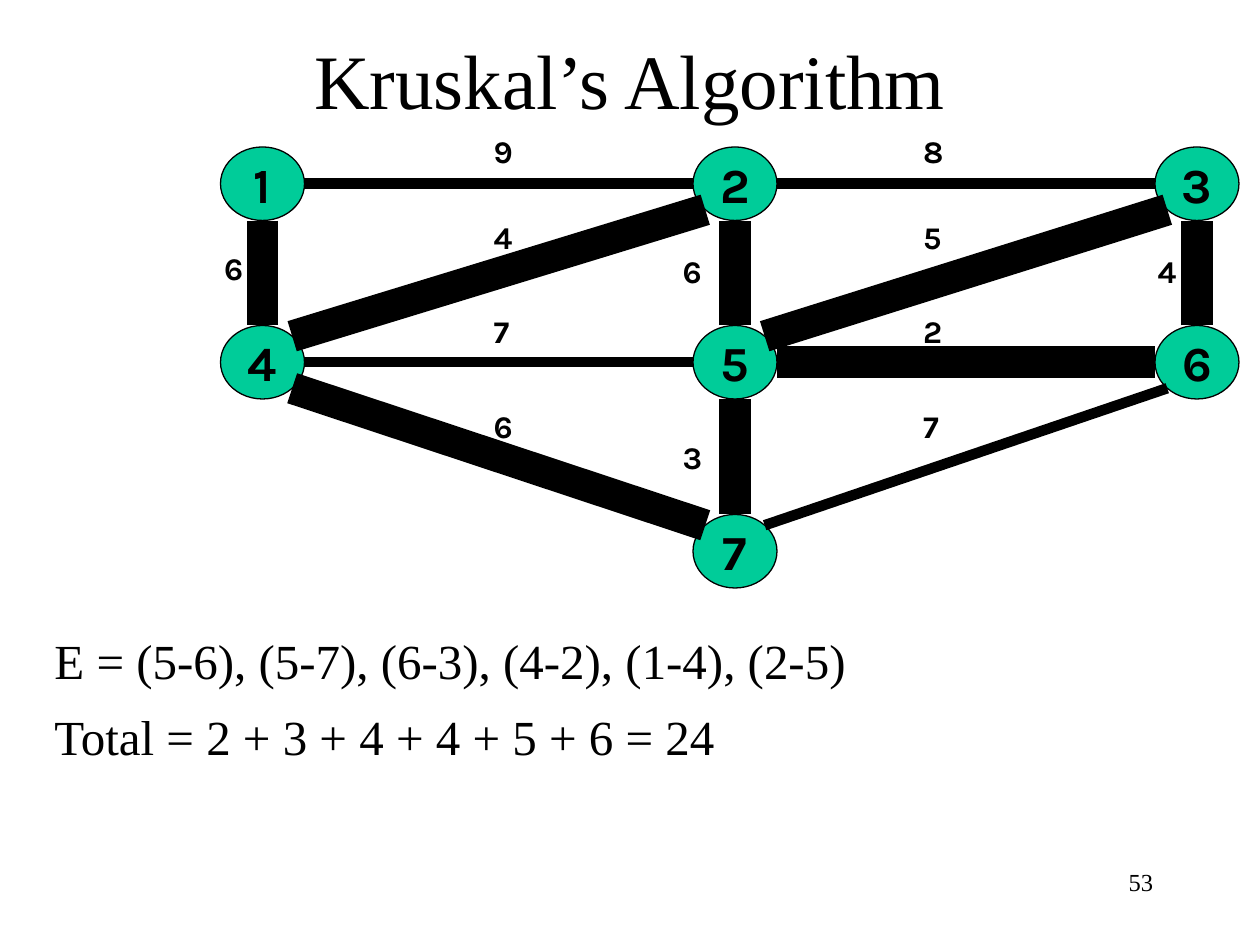
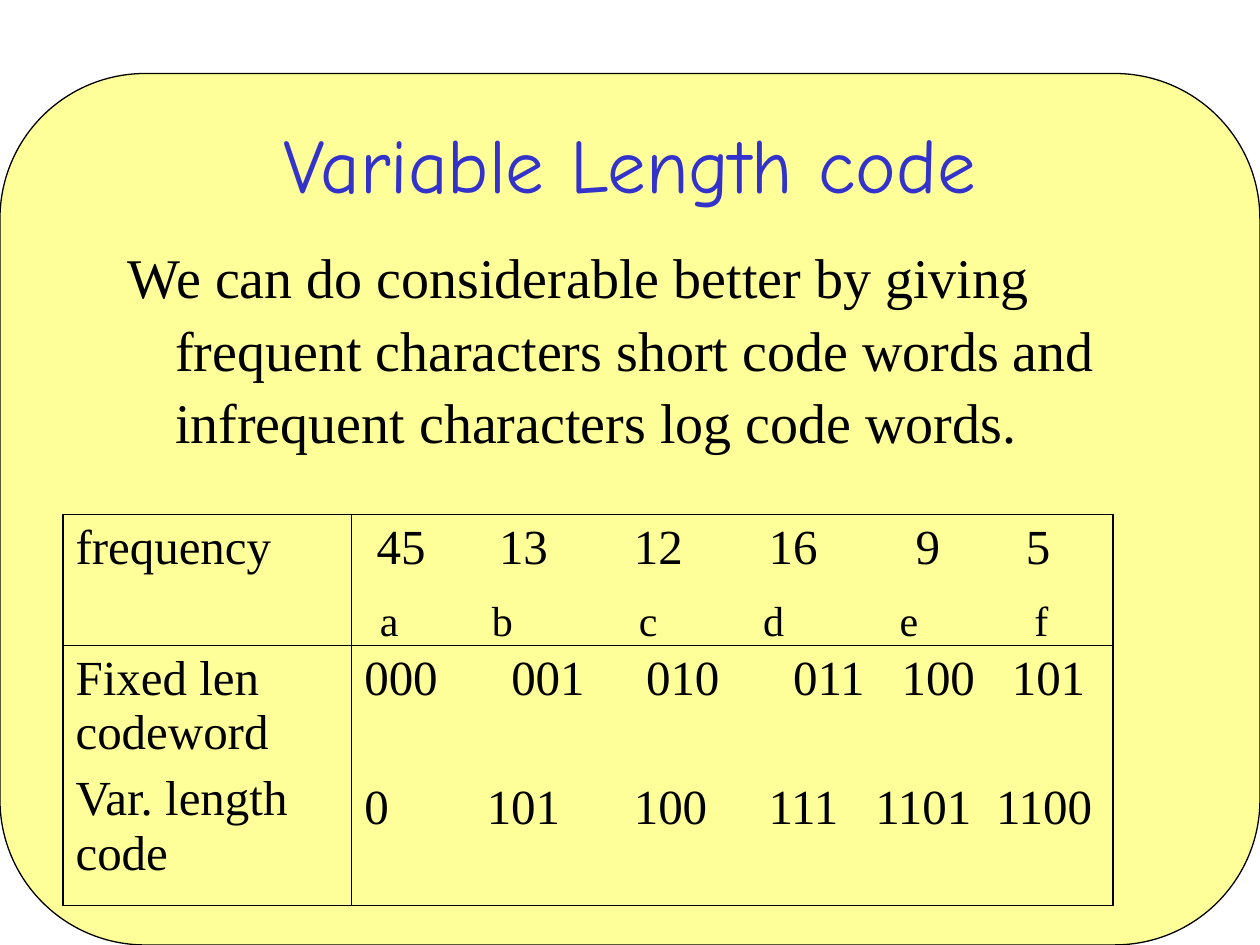
from math import copysign, sqrt

from lxml.etree import SubElement
from pptx import Presentation
from pptx.dml.color import RGBColor
from pptx.enum.shapes import MSO_CONNECTOR, MSO_SHAPE
from pptx.enum.text import MSO_ANCHOR, MSO_AUTO_SIZE, PP_ALIGN
from pptx.oxml.ns import qn
from pptx.util import Pt

BLACK = RGBColor(0x00, 0x00, 0x00)
GREEN = RGBColor(0x00, 0xCC, 0x99)
BLUE = RGBColor(0x33, 0x33, 0xCC)
YELLOW = RGBColor(0xFF, 0xFF, 0x99)
SERIF, SANS, HAND = "Times New Roman", "Karla", "Comic Neue"
NODE_WIDTH, NODE_HEIGHT = 48, 42
THIN, THICK = 6, 18
OUTER, INNER = 1.08, 0.45


class Deck:
    def __init__(self):
        self.presentation = Presentation()
        self.presentation.slide_width = Pt(720)
        self.presentation.slide_height = Pt(540)
        self.slide = None

    def new_slide(self):
        self.slide = self.presentation.slides.add_slide(self.presentation.slide_layouts[6])

    def styled_run(self, paragraph, text, size, font=SERIF, color=BLACK, bold=False,
                   align=PP_ALIGN.LEFT, tabs=()):
        paragraph.alignment = align
        if tabs:
            tab_list = SubElement(paragraph._p.get_or_add_pPr(), qn("a:tabLst"))
            for position in tabs:
                SubElement(tab_list, qn("a:tab"), pos=str(Pt(position)), algn="l")
        run = paragraph.add_run()
        run.text = text
        run.font.size = Pt(size)
        run.font.name = font
        run.font.bold = bold
        run.font.color.rgb = color

    def text(self, box, content, size, wrap=True, anchor=MSO_ANCHOR.TOP, grow=False, **style):
        frame = self.slide.shapes.add_textbox(*map(Pt, box)).text_frame
        frame.word_wrap = wrap
        frame.vertical_anchor = anchor
        if grow:
            frame.auto_size = MSO_AUTO_SIZE.SHAPE_TO_FIT_TEXT
        self.styled_run(frame.paragraphs[0], content, size, **style)

    def title(self, box, content, **style):
        self.text(box, content, 44, anchor=MSO_ANCHOR.MIDDLE, align=PP_ALIGN.CENTER, **style)

    def body(self, box, lines, size, gap=0):
        frame = self.slide.shapes.add_textbox(*map(Pt, box)).text_frame
        frame.word_wrap = True
        for index, line in enumerate(lines):
            paragraph = frame.add_paragraph() if index else frame.paragraphs[0]
            properties = paragraph._p.get_or_add_pPr()
            properties.set("marL", str(Pt(27)))
            properties.set("indent", str(Pt(-27)))
            paragraph.line_spacing = 1.08
            if index:
                paragraph.space_before = Pt(gap)
            self.styled_run(paragraph, line, size)

    def shape(self, kind, box, fill):
        shape = self.slide.shapes.add_shape(kind, *map(Pt, box))
        shape.shadow.inherit = False
        shape.fill.solid()
        shape.fill.fore_color.rgb = fill
        shape.line.color.rgb = BLACK
        shape.line.width = Pt(0.75)
        return shape

    def node(self, left, top, number):
        frame = self.shape(MSO_SHAPE.OVAL, (left, top, NODE_WIDTH, NODE_HEIGHT), GREEN).text_frame
        frame.word_wrap = False
        frame.vertical_anchor = MSO_ANCHOR.MIDDLE
        self.styled_run(frame.paragraphs[0], number, 28, SANS, bold=True, align=PP_ALIGN.CENTER)

    def edge(self, start, end, width):
        dx, dy = end[0] - start[0], end[1] - start[1]
        reach = 1 / sqrt(2) if dx and dy else 1
        shift_x = copysign(reach * NODE_WIDTH / 2, dx) if dx else 0
        shift_y = copysign(reach * NODE_HEIGHT / 2, dy) if dy else 0
        middle_x, middle_y = NODE_WIDTH / 2, NODE_HEIGHT / 2
        line = self.slide.shapes.add_connector(
            MSO_CONNECTOR.STRAIGHT,
            Pt(start[0] + middle_x + shift_x), Pt(start[1] + middle_y + shift_y),
            Pt(end[0] + middle_x - shift_x), Pt(end[1] + middle_y - shift_y))
        line.line.color.rgb = BLACK
        line.line.width = Pt(width)
        SubElement(line._element.spPr, qn("a:effectLst"))

    def border(self, cell, widths):
        properties = cell._tc.get_or_add_tcPr()
        for index, (side, width) in enumerate(zip("LRTB", widths)):
            line = properties.makeelement(qn(f"a:ln{side}"), {"w": str(Pt(width))})
            fill = SubElement(line, qn("a:solidFill"))
            SubElement(fill, qn("a:srgbClr"), val=str(BLACK))
            properties.insert(index, line)

    def table(self, box, columns, rows, cells):
        table = self.slide.shapes.add_table(len(rows), len(columns), *map(Pt, box)).table
        table.first_row = table.horz_banding = False
        for column, width in zip(table.columns, columns):
            column.width = Pt(width)
        for row, height in zip(table.rows, rows):
            row.height = Pt(height)
        for r, row in enumerate(cells):
            for c, lines in enumerate(row):
                cell = table.cell(r, c)
                cell.fill.background()
                self.border(cell, (INNER if c else OUTER,
                                   OUTER if c == len(columns) - 1 else INNER,
                                   INNER if r else OUTER,
                                   OUTER if r == len(rows) - 1 else INNER))
                for index, (line, gap, tabs) in enumerate(lines):
                    frame = cell.text_frame
                    paragraph = frame.add_paragraph() if index else frame.paragraphs[0]
                    self.styled_run(paragraph, line, 28, tabs=tabs)
                    if index:
                        paragraph.space_before = Pt(gap)


def kruskal(deck):
    deck.new_slide()
    deck.text((516, 492, 150, 36), "53", 14, align=PP_ALIGN.RIGHT)
    deck.title((24, 0, 672, 90), "Kruskal’s Algorithm")
    deck.body((24, 354, 672, 162), ["E = (5-6), (5-7), (6-3), (4-2), (1-4), (2-5)",
                                    "Total = 2 + 3 + 4 + 4 + 5 + 6 = 24"], 28, gap=7)

    left, center, right = 126, 396, 660
    upper, middle, lower = 84, 186, 294
    nodes = {1: (left, upper), 2: (center, upper), 3: (right, upper),
             4: (left, middle), 5: (center, middle), 6: (right, middle),
             7: (center, lower)}
    other_edges = [(1, 2), (2, 3), (4, 5), (7, 6)]
    tree_edges = [(5, 6), (5, 7), (6, 3), (4, 2), (5, 3), (5, 2), (1, 4), (4, 7)]
    weights = [(column, top, weight)
               for column, values in ((275, "9476"), (520.5, "8527"))
               for top, weight in zip((72, 121, 175, 229), values)]
    weights += [(121, 139, "6"), (383, 140.4, "6"), (654.5, 140.4, "4"), (383, 247, "3")]

    for number, position in nodes.items():
        deck.node(*position, str(number))
    for start, end in other_edges:
        deck.edge(nodes[start], nodes[end], THIN)
    for x, y, weight in weights:
        deck.text((x, y, 24.5, 28.8), weight, 18, wrap=False, grow=True, font=SANS, bold=True)
    for start, end in tree_edges:
        deck.edge(nodes[start], nodes[end], THICK)


def variable_length_code(deck):
    deck.new_slide()
    deck.shape(MSO_SHAPE.ROUNDED_RECTANGLE, (0, 42, 720, 498), YELLOW)
    deck.title((54, 48, 612, 90), "Variable Length code", font=HAND, color=BLUE)
    deck.body((66, 132, 612, 324),
              ["We can do considerable better by giving frequent characters short code words "
               "and infrequent characters log code words."], 32)
    frequencies = ("\t45\t13\t12\t16\t9\t5", 0, (7, 77, 154, 231, 315, 378))
    fixed_codes = ("000\t001\t010\t011\t100\t101", 0, (84, 161, 245, 307, 370))
    variable_codes = ("0\t101\t100\t111\t1101\t1100", 43, (70, 154, 231, 292, 361))
    deck.table((36, 294, 600, 223.5), (165, 435), (74.7, 148.8),
               [[[("frequency", 0, ())], [frequencies]],
                [[("Fixed len codeword", 0, ()), ("Var. length code", 7, ())],
                 [fixed_codes, variable_codes]]])
    deck.text((210, 336, 402, 36), "a\tb\tc\td\te\tf", 24, grow=True,
              tabs=(64, 148, 219, 297, 374))


def main():
    deck = Deck()
    kruskal(deck)
    variable_length_code(deck)
    deck.presentation.save("out.pptx")


if __name__ == "__main__":
    main()
